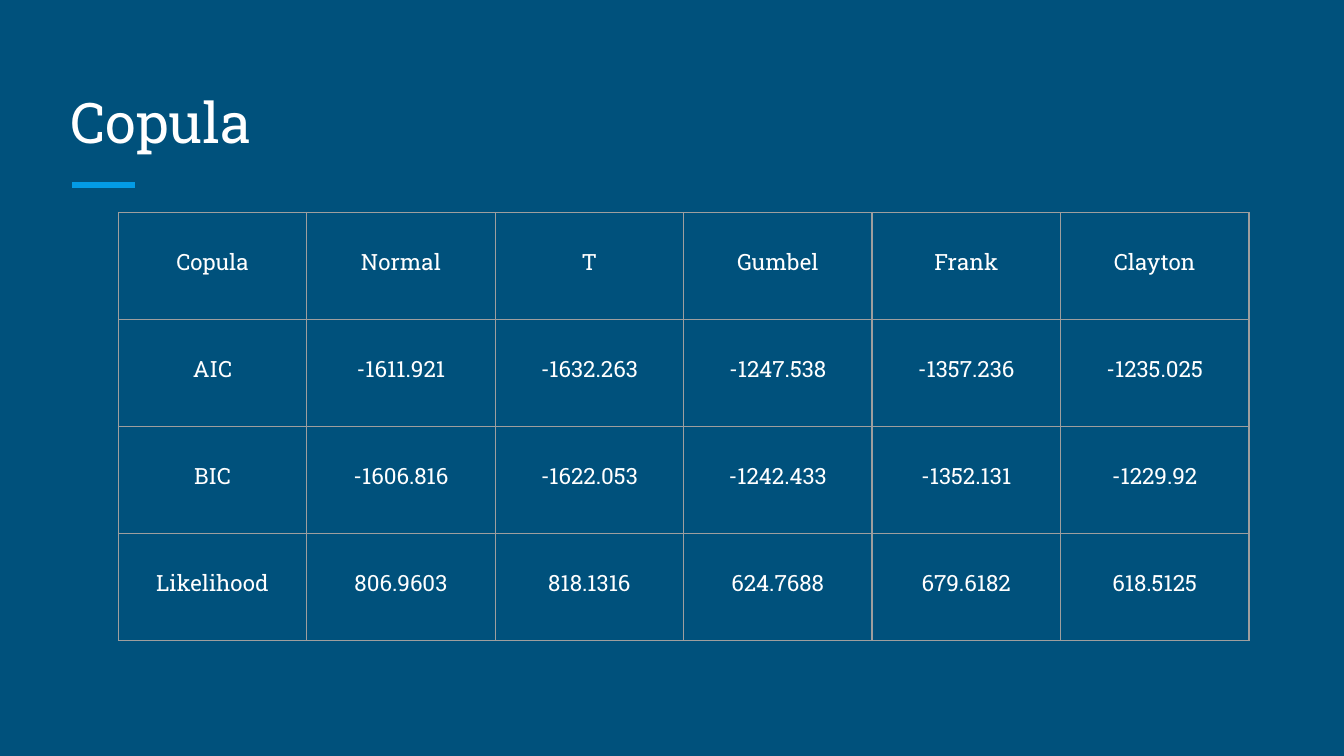
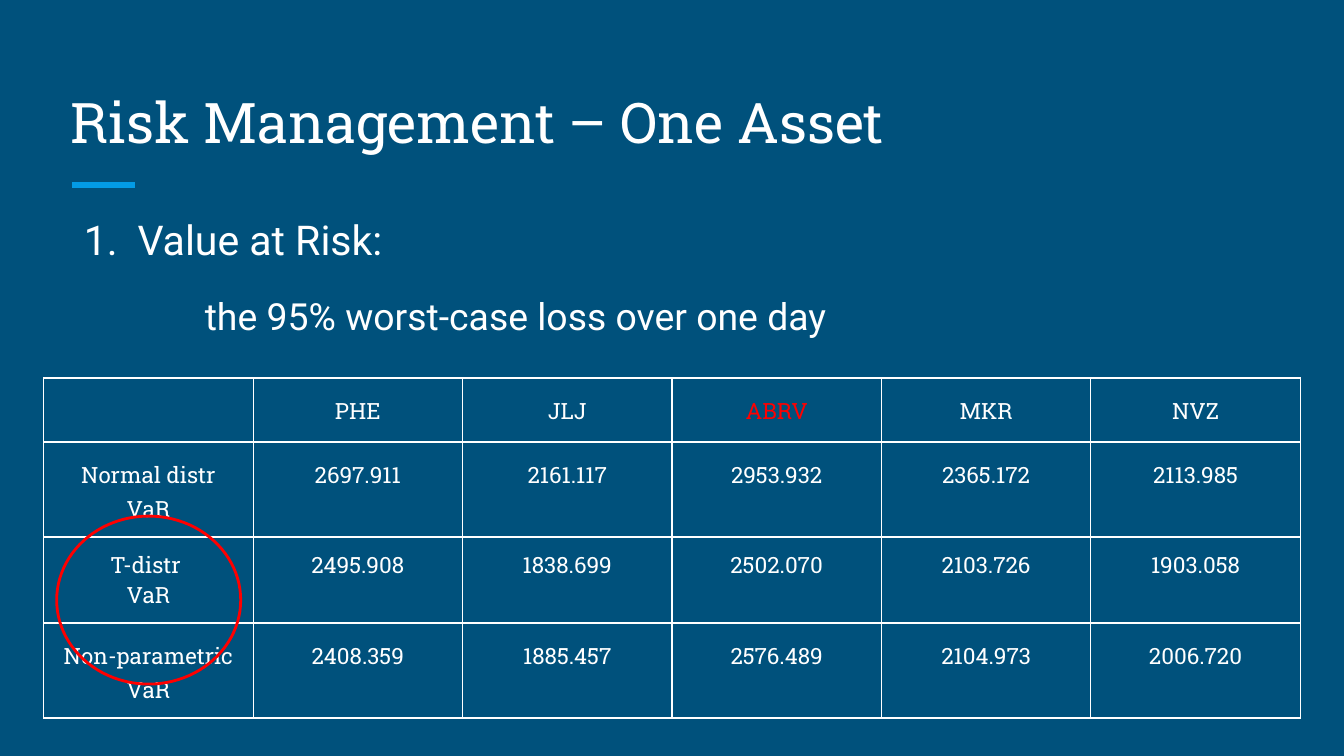
from dataclasses import dataclass

from lxml.etree import SubElement
from pptx import Presentation
from pptx.dml.color import RGBColor
from pptx.enum.shapes import MSO_CONNECTOR, MSO_SHAPE
from pptx.enum.text import MSO_ANCHOR, PP_ALIGN
from pptx.oxml.ns import qn
from pptx.slide import Slide
from pptx.util import Pt

NAVY = RGBColor(0x00, 0x51, 0x7C)
ACCENT = RGBColor(0x03, 0x9B, 0xE5)
WHITE = RGBColor(0xFF, 0xFF, 0xFF)
GREY = RGBColor(0x9E, 0x9E, 0x9E)
RED = RGBColor(0xFF, 0x00, 0x00)

SLAB = "Roboto Slab"
SANS = "Roboto"
INSET = 7.2
LINE_SPACING = 1.15


@dataclass(frozen=True)
class Box:
    left: float
    top: float
    width: float
    height: float


@dataclass(frozen=True)
class TableSpec:
    left: float
    top: float
    column_width: float
    row_heights: list[float]
    rows: list[list[str]]
    border: RGBColor
    anchor: MSO_ANCHOR
    inset: float  # left, top and right; the bottom is always INSET
    single_spaced_rows: tuple[int, ...] = ()
    highlight: str = ""


@dataclass(frozen=True)
class BodyLine:
    text: str
    size: float
    first_indent: float
    space: float
    numbered: bool


COPULA_TABLE = TableSpec(
    left=63.4, top=113.8, column_width=100.95, row_heights=[57.3] * 4,
    rows=[
        ["Copula", "Normal", "T", "Gumbel", "Frank", "Clayton"],
        ["AIC", "-1611.921", "-1632.263", "-1247.538", "-1357.236", "-1235.025"],
        ["BIC", "-1606.816", "-1622.053", "-1242.433", "-1352.131", "-1229.92"],
        ["Likelihood", "806.9603", "818.1316", "624.7688", "679.6182", "618.5125"],
    ],
    border=GREY, anchor=MSO_ANCHOR.MIDDLE, inset=0.75,
)

RISK_TABLE = TableSpec(
    left=23.4, top=202.5, column_width=112.2, row_heights=[34.3, 50.9, 46.1, 50.9],
    rows=[
        ["", "PHE", "JLJ", "ABRV", "MKR", "NVZ"],
        ["Normal distr VaR", "2697.911", "2161.117", "2953.932", "2365.172", "2113.985"],
        ["T-distr \nVaR", "2495.908", "1838.699", "2502.070", "2103.726", "1903.058"],
        ["Non-parametric\nVaR", "2408.359", "1885.457", "2576.489", "2104.973", "2006.720"],
    ],
    border=WHITE, anchor=MSO_ANCHOR.TOP, inset=INSET,
    single_spaced_rows=(2,), highlight="ABRV",
)

RISK_BODY = [
    BodyLine("Value at Risk:", 22, -28.8, 0, True),
    BodyLine("the 95% worst-case loss over one day", 20, 36, 12, False),
]


def style_font(font, name: str, size: float, color: RGBColor) -> None:
    font.name = name
    font.size = Pt(size)
    font.color.rgb = color


def add_text_frame(slide: Slide, box: Box, anchor: MSO_ANCHOR):
    shape = slide.shapes.add_textbox(
        Pt(box.left), Pt(box.top), Pt(box.width), Pt(box.height))
    frame = shape.text_frame
    frame.word_wrap = True
    frame.vertical_anchor = anchor
    frame.margin_left = frame.margin_right = Pt(INSET)
    frame.margin_top = frame.margin_bottom = Pt(INSET)
    return frame


def add_titled_slide(presentation, title: str) -> Slide:
    """Blank slide with the shared background, accent rule and title."""
    slide = presentation.slides.add_slide(presentation.slide_layouts[6])
    slide.background.fill.solid()
    slide.background.fill.fore_color.rgb = NAVY

    rule = slide.shapes.add_connector(
        MSO_CONNECTOR.STRAIGHT, Pt(38.6), Pt(99.2), Pt(72.2), Pt(99.2))
    rule.line.color.rgb = ACCENT
    rule.line.width = Pt(3)
    SubElement(rule.element.spPr, qn("a:effectLst"))

    frame = add_text_frame(slide, Box(30.6, 36, 658.8, 54), MSO_ANCHOR.BOTTOM)
    frame.text = title
    style_font(frame.paragraphs[0].runs[0].font, SLAB, 30, WHITE)
    return slide


def add_body(slide: Slide, box: Box, lines: list[BodyLine]) -> None:
    frame = add_text_frame(slide, box, MSO_ANCHOR.TOP)
    frame.text = "\n".join(line.text for line in lines)
    for paragraph, line in zip(frame.paragraphs, lines):
        paragraph.line_spacing = LINE_SPACING
        paragraph.space_before = paragraph.space_after = Pt(line.space)
        style_font(paragraph.runs[0].font, SANS, line.size, WHITE)
        properties = paragraph._p.get_or_add_pPr()
        properties.set("marL", str(Pt(36)))
        properties.set("indent", str(Pt(line.first_indent)))
        if line.numbered:
            color = SubElement(properties, qn("a:buClr"))
            SubElement(color, qn("a:srgbClr"), val=str(WHITE))
            SubElement(properties, qn("a:buFont"), typeface=SANS)
            SubElement(properties, qn("a:buAutoNum"), type="arabicPeriod")


def set_borders(cell, color: RGBColor) -> None:
    properties = cell._tc.get_or_add_tcPr()
    for position, side in enumerate(("lnL", "lnR", "lnT", "lnB")):
        line = SubElement(properties, qn(f"a:{side}"), w=str(Pt(0.75)))
        fill = SubElement(line, qn("a:solidFill"))
        SubElement(fill, qn("a:srgbClr"), val=str(color))
        properties.insert(position, line)  # borders come before the fill


def fill_cell(cell, text: str, spec: TableSpec, spacing: float) -> None:
    cell.fill.background()
    set_borders(cell, spec.border)
    cell.vertical_anchor = spec.anchor
    cell.margin_left = cell.margin_top = cell.margin_right = Pt(spec.inset)
    cell.margin_bottom = Pt(INSET)
    cell.text_frame.text = text
    color = RED if text and text == spec.highlight else WHITE
    for paragraph in cell.text_frame.paragraphs:
        paragraph.alignment = PP_ALIGN.CENTER
        paragraph.line_spacing = spacing
        style_font(paragraph.font, SLAB, 12, color)
        for run in paragraph.runs:
            style_font(run.font, SLAB, 12, color)


def add_grid(slide: Slide, spec: TableSpec) -> None:
    column_count = len(spec.rows[0])
    table = slide.shapes.add_table(
        len(spec.rows), column_count, Pt(spec.left), Pt(spec.top),
        Pt(spec.column_width * column_count), Pt(sum(spec.row_heights))).table
    table.first_row = table.horz_banding = False
    for column in table.columns:
        column.width = Pt(spec.column_width)
    for row_index, values in enumerate(spec.rows):
        table.rows[row_index].height = Pt(spec.row_heights[row_index])
        spacing = 1.0 if row_index in spec.single_spaced_rows else LINE_SPACING
        for column_index, text in enumerate(values):
            fill_cell(table.cell(row_index, column_index), text, spec, spacing)


def add_ring(slide: Slide, box: Box) -> None:
    ring = slide.shapes.add_shape(
        MSO_SHAPE.OVAL, Pt(box.left), Pt(box.top), Pt(box.width), Pt(box.height))
    ring.shadow.inherit = False
    ring.fill.background()
    ring.line.color.rgb = RED
    ring.line.width = Pt(1.5)


def main() -> None:
    presentation = Presentation()
    presentation.slide_width = Pt(720)
    presentation.slide_height = Pt(405)

    # Copula comparison
    copula_slide = add_titled_slide(presentation, "Copula")
    add_grid(copula_slide, COPULA_TABLE)

    # Value at risk per asset
    risk_slide = add_titled_slide(presentation, "Risk Management – One Asset")
    add_body(risk_slide, Box(30.6, 103.7, 658.8, 98.6), RISK_BODY)
    add_grid(risk_slide, RISK_TABLE)
    add_ring(risk_slide, Box(30.4, 276.5, 98.6, 90))

    presentation.save("out.pptx")


if __name__ == "__main__":
    main()
